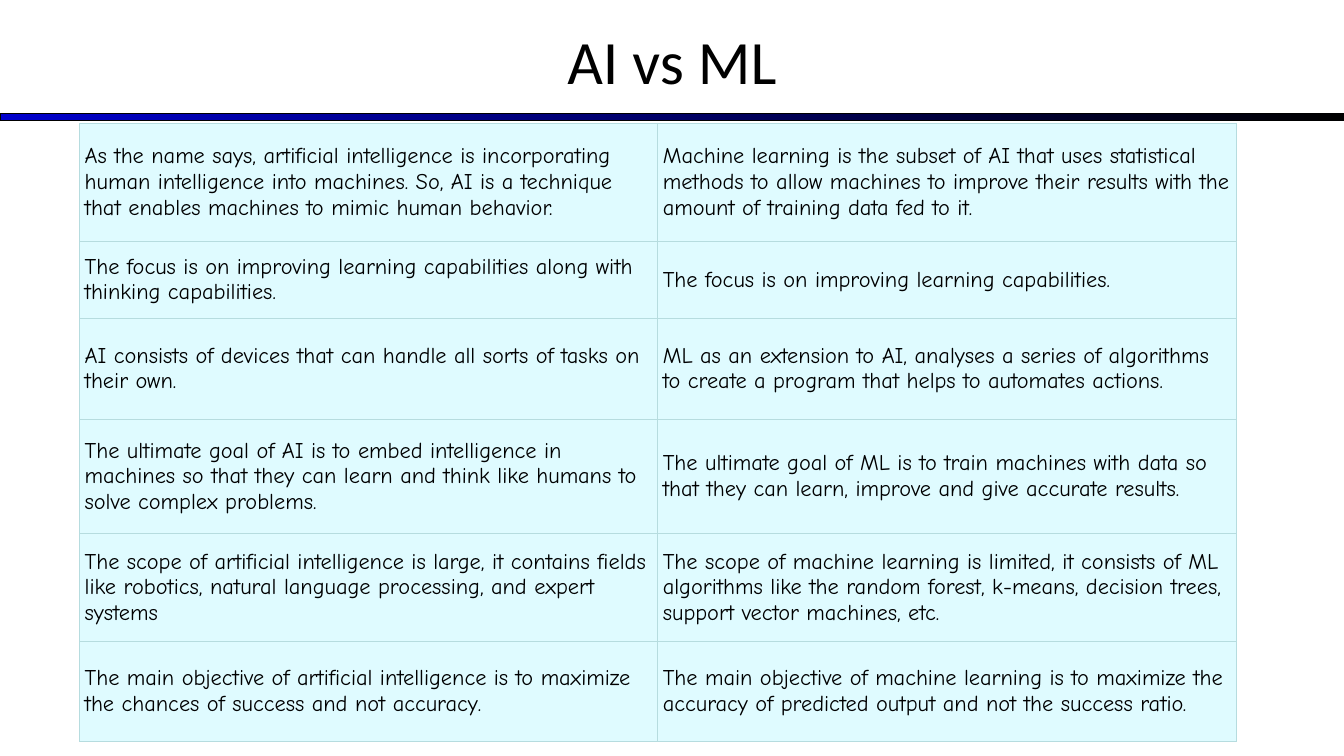
from lxml import etree
from pptx import Presentation
from pptx import util as u
from pptx.dml.color import RGBColor
from pptx.enum import shapes, text
from pptx.oxml import ns

COMPARISON = [
    ("As the name says, artificial intelligence is incorporating human intelligence into machines. "
     "So, AI is a technique that enables machines to mimic human behavior.",
     "Machine learning is the subset of AI that uses statistical methods to allow machines "
     "to improve their results with the amount of training data fed to it."),
    ("The focus is on improving learning capabilities along with thinking capabilities.",
     "The focus is on improving learning capabilities."),
    ("AI consists of devices that can handle all sorts of tasks on their own.",
     "ML as an extension to AI, analyses a series of algorithms to create a program "
     "that helps to automates actions."),
    ("The ultimate goal of AI is to embed intelligence in machines so that they can learn "
     "and think like humans to solve complex problems.",
     "The ultimate goal of ML is to train machines with data so that they can learn, "
     "improve and give accurate results."),
    ("The scope of artificial intelligence is large, it contains fields like robotics, "
     "natural language processing, and expert systems",
     "The scope of machine learning is limited, it consists of ML algorithms like the "
     "random forest, k-means, decision trees, support vector machines, etc."),
    ("The main objective of artificial intelligence is to maximize the chances of success "
     "and not accuracy.",
     "The main objective of machine learning is to maximize the accuracy of predicted output "
     "and not the success ratio."),
]
ROW_HEIGHTS = [84.2, 55, 72, 82.1, 76.5, 72]


def color(value):
    return RGBColor.from_string(value)


class ComparisonSlide:
    title_font = "Calibri"
    body_font = "Comic Neue"
    ink = "000000"
    accent = "0000CC"
    cell_fill = "DFFBFF"
    border = "B6DCDF"

    def __init__(self, slide):
        self.slide = slide

    def add_words(self, paragraph, words, font, size):
        run = paragraph.add_run()
        run.text = words
        run.font.name = font
        run.font.size = u.Pt(size)
        run.font.color.rgb = color(self.ink)

    def divider(self, left, top, width, height):
        band = self.slide.shapes.add_shape(
            shapes.MSO_SHAPE.RECTANGLE, *map(u.Pt, (left, top, width, height)))
        band.shadow.inherit = False
        band.fill.gradient()
        band.fill.gradient_angle = 0
        for stop, shade in zip(band.fill.gradient_stops, (self.accent, self.ink)):
            stop.color.rgb = color(shade)
        band.line.color.rgb = color(self.ink)
        band.line.width = u.Pt(0.75)

    def title(self, words, left, top, width, height):
        heading = self.slide.shapes.add_textbox(*map(u.Pt, (left, top, width, height)))
        frame = heading.text_frame
        frame.word_wrap = True
        frame.vertical_anchor = text.MSO_ANCHOR.MIDDLE
        frame.paragraphs[0].alignment = text.PP_ALIGN.CENTER
        self.add_words(frame.paragraphs[0], words, self.title_font, 44)

    def outline(self, cell):
        properties = cell._tc.get_or_add_tcPr()
        for side in ("a:lnL", "a:lnR", "a:lnT", "a:lnB"):
            edge = etree.SubElement(properties, ns.qn(side), w=str(u.Pt(0.75)))
            paint = etree.SubElement(edge, ns.qn("a:solidFill"))
            etree.SubElement(paint, ns.qn("a:srgbClr"), val=self.border)

    def table(self, rows, heights, left, top, width):
        columns = len(rows[0])
        grid = self.slide.shapes.add_table(
            len(rows), columns, *map(u.Pt, (left, top, width, sum(heights)))).table
        grid.first_row = False
        grid.horz_banding = False
        for column in grid.columns:
            column.width = u.Pt(width / columns)
        for row, height, statements in zip(grid.rows, heights, rows):
            row.height = u.Pt(height)
            for cell, statement in zip(row.cells, statements):
                self.outline(cell)
                cell.fill.solid()
                cell.fill.fore_color.rgb = color(self.cell_fill)
                cell.vertical_anchor = text.MSO_ANCHOR.MIDDLE
                cell.margin_left = cell.margin_right = u.Pt(3.6)
                cell.margin_top = cell.margin_bottom = u.Pt(1.7)
                self.add_words(cell.text_frame.paragraphs[0], statement, self.body_font, 16)


def main():
    deck = Presentation()
    deck.slide_width, deck.slide_height = u.Pt(960), u.Pt(540)
    page = ComparisonSlide(deck.slides.add_slide(deck.slide_layouts[6]))
    page.divider(0, 81, 960, 5.2)
    page.title("AI vs ML", 0, -2, 960, 90)
    page.table(COMPARISON, ROW_HEIGHTS, 56.9, 88.1, 826)
    deck.save("out.pptx")


if __name__ == "__main__":
    main()
